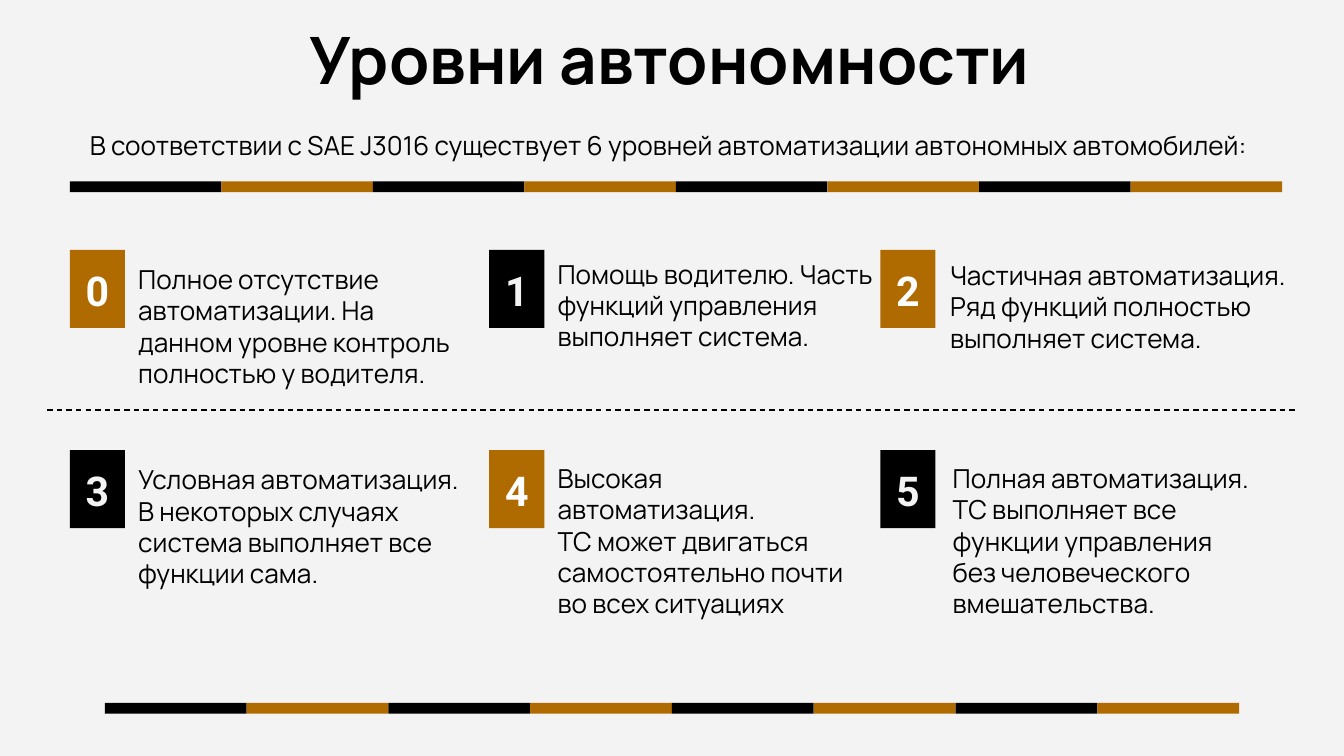
from pptx import Presentation
from pptx.dml.color import RGBColor
from pptx.enum.dml import MSO_LINE
from pptx.enum.shapes import MSO_CONNECTOR, MSO_SHAPE
from pptx.enum.text import MSO_ANCHOR as Anchor, MSO_AUTO_SIZE as AutoSize, PP_ALIGN as Align
from pptx.oxml.ns import qn
from pptx.util import Inches, Pt
from lxml.etree import SubElement

THEME = {
    "paper": "F3F3F3", "ink": "000000", "gold": "AF6B00", "white": "FFFFFF",
    "text_font": "Manrope", "number_font": "Roboto",
    "title": 35, "body": 14, "number": 22,
}
TITLE = "Уровни автономности"
INTRO = "В соответствии с SAE J3016 существует 6 уровней автоматизации автономных автомобилей:"
LEVELS = [
    (["Полное отсутствие автоматизации. На данном уровне контроль полностью у водителя."],
     0.93, 1.86, 2.68),
    (["Помощь водителю. Часть функций управления выполняет система."],
     4.05, 1.82, 2.59),
    (["Частичная автоматизация.", "Ряд функций полностью выполняет система."],
     6.97, 1.83, 2.79),
    (["Условная автоматизация.", "В некоторых случаях система выполняет все функции сама."],
     0.93, 3.35, 2.63),
    (["Высокая автоматизация.", "ТС может двигаться самостоятельно почти во всех ситуациях"],
     4.05, 3.34, 2.48),
    (["Полная автоматизация.",
      "ТС выполняет все функции управления без человеческого вмешательства."],
     6.99, 3.34, 2.45),
]
COLUMNS = [0.52, 3.64, 6.55]
ROWS = [1.86, 3.35]
BADGE = (0.41, 0.58)
STRIPS = [(0.78, 5.23, 8.44), (0.52, 1.35, 9.02)]
STRIP_PARTS, STRIP_HEIGHT = 8, 0.08


def color(name):
    return RGBColor.from_string(THEME[name])


def write(shape, lines, size, font="text_font", ink="ink", bold=False,
          align=Align.LEFT, anchor=Anchor.TOP):
    frame = shape.text_frame
    frame.word_wrap = True
    frame.auto_size = AutoSize.NONE
    frame.vertical_anchor = anchor
    frame.margin_left = frame.margin_right = Inches(0.1)
    frame.margin_top = frame.margin_bottom = Inches(0.1)
    for index, line in enumerate(lines):
        para = frame.add_paragraph() if index else frame.paragraphs[0]
        para.alignment = align
        span = para.add_run()
        span.text = line
        span.font.name = THEME[font]
        span.font.size = Pt(THEME[size])
        span.font.bold = bold
        span.font.color.rgb = color(ink)


def add_rectangle(shapes, left, top, width, height, fill):
    box = shapes.add_shape(MSO_SHAPE.RECTANGLE, Inches(left), Inches(top),
                           Inches(width), Inches(height))
    box.shadow.inherit = False
    box.fill.solid()
    box.fill.fore_color.rgb = color(fill)
    box.line.fill.background()
    return box


def add_text(slide, lines, left, top, width):
    box = slide.shapes.add_textbox(Inches(left), Inches(top), Inches(width), Inches(0.53))
    write(box, lines, "body")


def add_strip(slide, left, top, width):
    group = slide.shapes.add_group_shape()
    step = width / STRIP_PARTS
    for index in range(STRIP_PARTS):
        add_rectangle(group.shapes, left + index * step, top, step, STRIP_HEIGHT,
                      ("ink", "gold")[index % 2])


def add_level(slide, number, lines, left, top, width):
    row, column = divmod(number, len(COLUMNS))
    fill, ink = (("gold", "white"), ("ink", "paper"))[number % 2]
    badge = add_rectangle(slide.shapes, COLUMNS[column], ROWS[row], *BADGE, fill)
    write(badge, [str(number)], "number", "number_font", ink, True,
          Align.CENTER, Anchor.BOTTOM)
    add_text(slide, lines, left, top, width)


def add_divider(slide):
    line = slide.shapes.add_connector(MSO_CONNECTOR.STRAIGHT, Inches(0.35), Inches(3.05),
                                      Inches(9.65), Inches(3.05))
    line.line.color.rgb = color("ink")
    line.line.width = Pt(0.75)
    line.line.dash_style = MSO_LINE.DASH
    SubElement(line._element.spPr, qn("a:effectLst"))


def main():
    deck = Presentation()
    deck.slide_width = Inches(10)
    deck.slide_height = deck.slide_width * 9 // 16
    slide = deck.slides.add_slide(deck.slide_layouts[5])
    slide.background.fill.solid()
    slide.background.fill.fore_color.rgb = color("paper")

    title = slide.shapes.title
    title.left, title.top = Inches(0.77), Inches(0.04)
    title.width, title.height = Inches(8.43), Inches(0.63)
    write(title, [TITLE], "title", bold=True, align=Align.CENTER)

    add_text(slide, [INTRO], 0.57, 0.86, 8.87)
    for number, level in enumerate(LEVELS):
        add_level(slide, number, *level)
    add_divider(slide)
    for strip in STRIPS:
        add_strip(slide, *strip)
    deck.save("out.pptx")


if __name__ == "__main__":
    main()
